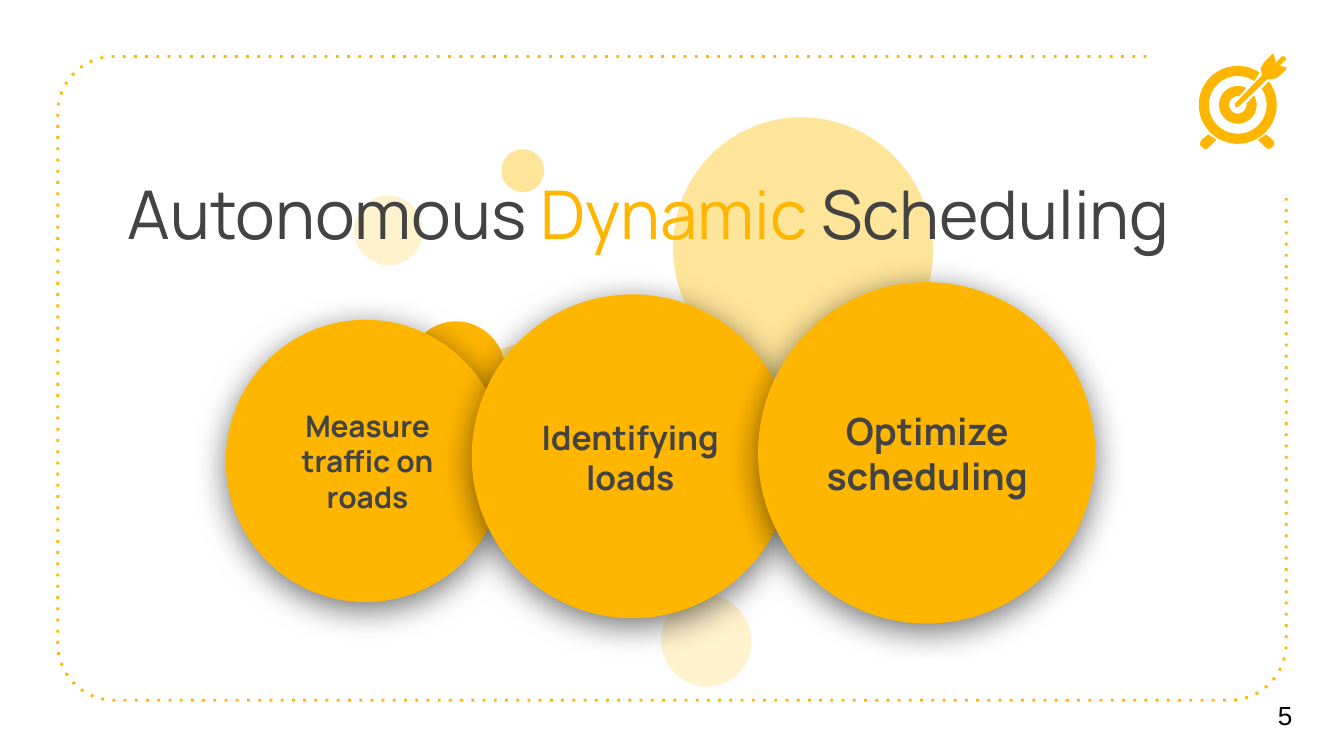
from math import cos, radians, sin

from lxml.etree import SubElement
from pptx import Presentation
from pptx.dml.color import RGBColor
from pptx.enum.shapes import MSO_SHAPE
from pptx.enum.text import MSO_ANCHOR, MSO_AUTO_SIZE, PP_ALIGN
from pptx.oxml.ns import qn
from pptx.util import Inches, Pt

THEME = {
    "amber": "FFB600", "gold": "FFE599", "cream": "FFF2CC",
    "ink": "434343", "black": "000000",
    "font": "Manrope", "number_font": "Arial",
    "title": 36, "number": 14, "frame": 1.5, "inset": 0.1,
}
SIZE = (10, 10 * 9 / 16)
TITLE = [("Autonomous ", "ink"), ("Dynamic", "amber"), (" Scheduling", "ink")]
TITLE_BOX = (0.85, 1.18, 9.07, 0.94)
NUMBER, NUMBER_BOX = "5", (9.41, 5.02, 0.59, 0.6)

BUBBLES = [
    ((4.91, 4.43, 0.69, 0.67), "cream"),
    ((2.63, 1.46, 0.52, 0.51), "cream"),
    ((3.28, 2.56, 1.4, 1.38), "gold"),
    ((4.99, 0.89, 1.97, 1.93), "gold"),
    ((3.03, 2.4, 0.74, 0.72), "amber"),
    ((3.73, 1.11, 0.32, 0.32), "gold"),
]
STEPS = [
    ("Measure traffic on roads", 16, (1.68, 2.38, 2.08, 2.1), (1.91, 2.77, 1.65, 1.32)),
    ("Identifying loads", 18, (3.51, 2.19, 2.39, 2.41), (3.81, 2.72, 1.76, 1.36)),
    ("Optimize scheduling", 20, (5.64, 2.1, 2.51, 2.54), (6, 2.57, 1.8, 1.6)),
]

FRAME = {"left": 0.43, "top": 0.42, "right": 9.57, "bottom": 5.21, "radius": 0.42}
FRAME_START, FRAME_END = (8.53, 0.42), (9.57, 1.46)
TARGET = (9.21, 0.78)
RINGS = [
    (0.29, (-37, 304), 0.215, (-34, 305)),
    (0.14, (-30, 297), 0.065, (-8, 278)),
]
FOOT = [
    (8.99, 1), (8.94, 1.04), (8.93, 1.06), (8.93, 1.08), (8.95, 1.1),
    (8.97, 1.11), (8.99, 1.1), (9.05, 1.04), (9.02, 1.02),
]
DART = [
    (9.47, 0.4), (9.46, 0.41), (9.4, 0.47), (9.39, 0.49), (9.38, 0.51),
    (9.39, 0.56), (9.19, 0.77), (9.19, 0.79), (9.2, 0.8), (9.22, 0.79),
    (9.43, 0.59), (9.47, 0.59), (9.5, 0.58), (9.57, 0.52), (9.57, 0.5),
    (9.52, 0.49), (9.56, 0.45), (9.57, 0.44), (9.56, 0.42), (9.54, 0.42),
    (9.49, 0.47), (9.48, 0.41),
]


def color(name):
    return RGBColor.from_string(THEME[name])


def inches(values):
    return [Inches(v) for v in values]


def arc(center, radius, start, end, steps):
    angles = [radians(start + (end - start) * i / steps) for i in range(steps + 1)]
    return [(center[0] + radius * cos(a), center[1] + radius * sin(a)) for a in angles]


def add_path(shapes, points, close=True):
    start, *rest = [inches(p) for p in points]
    builder = shapes.build_freeform(*start, scale=1.0)
    builder.add_line_segments(rest, close=close)
    sp = builder.convert_to_shape()
    sp.shadow.inherit = False
    if close:
        sp.fill.solid()
        sp.fill.fore_color.rgb = color("amber")
        sp.line.fill.background()
    else:
        sp.fill.background()
        sp.line.color.rgb = color("amber")
        sp.line.width = Pt(THEME["frame"])
        SubElement(sp.element.spPr.find(qn("a:ln")), qn("a:prstDash"), val="dot")
    return sp


def add_circle(shapes, box, fill, rotation=0):
    sp = shapes.add_shape(MSO_SHAPE.OVAL, *inches(box))
    sp.rotation = rotation
    sp.shadow.inherit = False
    sp.fill.solid()
    sp.fill.fore_color.rgb = color(fill)
    sp.line.fill.background()
    return sp


def add_shadow(sp):
    effects = sp.element.spPr.find(qn("a:effectLst"))
    shadow = SubElement(effects, qn("a:outerShdw"), blurRad=str(Pt(18)), dist=str(Pt(4)),
                        dir="5400000", algn="bl", rotWithShape="0")
    black = SubElement(shadow, qn("a:srgbClr"), val=THEME["black"])
    SubElement(black, qn("a:alpha"), val="55000")


def set_frame(tf, anchor):
    tf.word_wrap = True
    tf.auto_size = MSO_AUTO_SIZE.NONE
    tf.vertical_anchor = anchor
    tf.margin_left = tf.margin_right = tf.margin_top = tf.margin_bottom = Inches(THEME["inset"])


def set_font(font, name, size, ink, bold=False):
    font.name, font.size, font.bold = name, Pt(size), bold
    font.color.rgb = color(ink)


def add_text(shapes, box, text, align, *font):
    tf = shapes.add_textbox(*inches(box)).text_frame
    set_frame(tf, MSO_ANCHOR.MIDDLE)
    p = tf.paragraphs[0]
    p.text, p.alignment = text, align
    set_font(p.font, *font)


def frame_points():
    left, top, right, bottom, radius = FRAME.values()
    corners = [
        ((left + radius, top + radius), 270, 180),
        ((left + radius, bottom - radius), 180, 90),
        ((right - radius, bottom - radius), 90, 0),
    ]
    bends = [pt for center, a, b in corners for pt in arc(center, radius, a, b, 15)]
    return [FRAME_START, *bends, FRAME_END]


def add_target(shapes):
    for outer, outer_span, inner, inner_span in RINGS:
        inside = arc(TARGET, inner, *inner_span, 48)
        add_path(shapes, arc(TARGET, outer, *outer_span, 48) + inside[::-1])
    add_path(shapes, FOOT)
    add_path(shapes, [(2 * TARGET[0] - x - 0.01, y) for x, y in FOOT])
    add_path(shapes, DART)


prs = Presentation()
prs.slide_width, prs.slide_height = inches(SIZE)
slide = prs.slides.add_slide(prs.slide_layouts[5])
shapes = slide.shapes

add_path(shapes, frame_points(), close=False)
add_text(shapes, NUMBER_BOX, NUMBER, PP_ALIGN.LEFT,
         THEME["number_font"], THEME["number"], "black")

bubbles = shapes.add_group_shape().shapes
for box, fill in BUBBLES:
    add_circle(bubbles, box, fill, 250)

for index, (text, size, circle, box) in enumerate(STEPS):
    if index == len(STEPS) - 1:
        add_target(shapes.add_group_shape().shapes)
    step = shapes.add_group_shape().shapes
    add_shadow(add_circle(step, circle, "amber"))
    add_text(step, box, text, PP_ALIGN.CENTER, THEME["font"], size, "ink", True)

title = shapes.title
title.left, title.top, title.width, title.height = inches(TITLE_BOX)
set_frame(title.text_frame, MSO_ANCHOR.TOP)
p = title.text_frame.paragraphs[0]
p.alignment = PP_ALIGN.LEFT
for text, ink in TITLE:
    r = p.add_run()
    r.text = text
    set_font(r.font, THEME["font"], THEME["title"], ink)
title.element.getparent().append(title.element)

prs.save("out.pptx")
